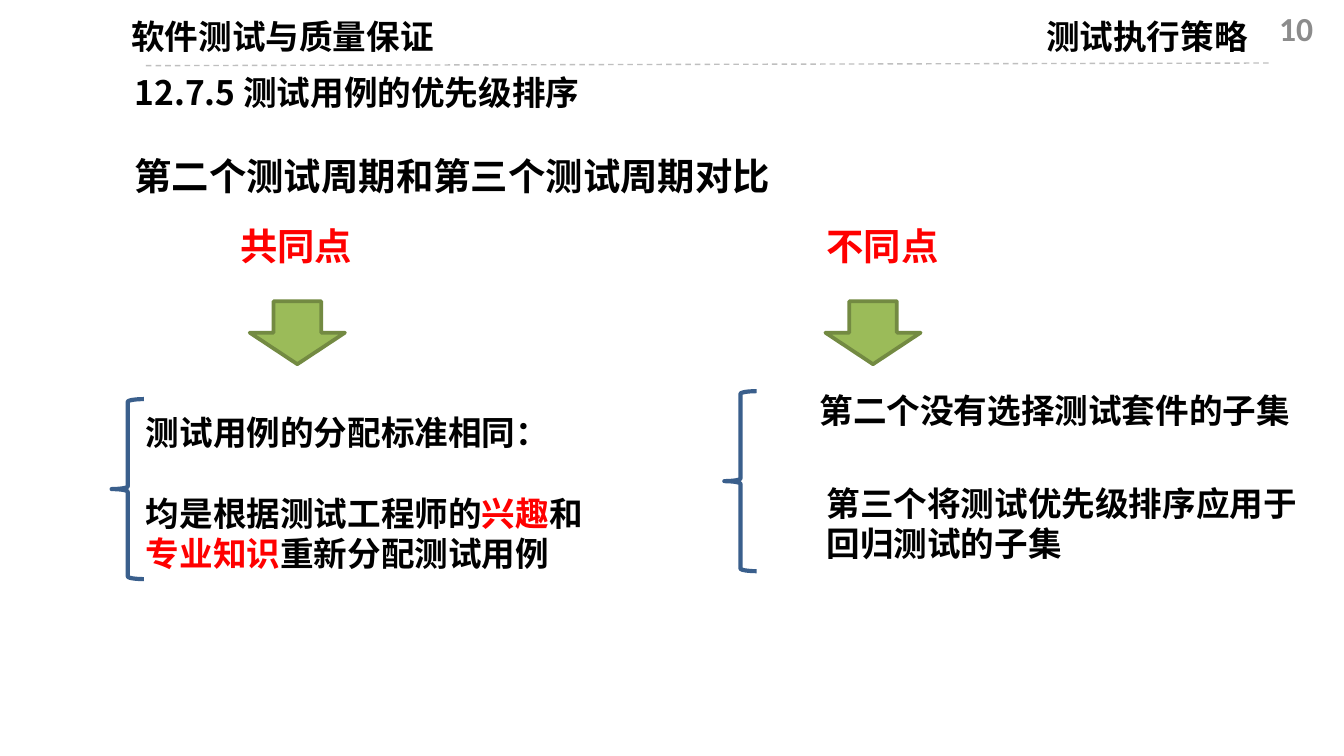
from dataclasses import dataclass

from lxml import etree
from pptx import Presentation
from pptx import util as u
from pptx.dml.color import RGBColor
from pptx.enum import dml, shapes, text
from pptx.oxml.ns import qn


@dataclass(frozen=True)
class Theme:
    ink: str = "000000"
    accent: str = "FF0000"
    muted: str = "8C8C8C"
    rule: str = "BFBFBF"
    arrow: str = "9BBB59"
    arrow_line: str = "738A42"
    brace: str = "3A5F8C"
    latin: str = "Calibri"
    chinese: str = "Noto Sans CJK SC"
    body: int = 18
    heading: int = 20


THEME = Theme()


def colour(value):
    return RGBColor.from_string(value)


def lengths(box):
    return [u.Cm(value) for value in box]


def write(shape, *paragraphs, size=THEME.body, color=THEME.ink, font=THEME.latin,
          align=text.PP_ALIGN.LEFT, anchor=text.MSO_ANCHOR.TOP, gap=0):
    """Fill a shape; a paragraph is a string or a list of (string, colour) runs."""
    frame = shape.text_frame
    frame.word_wrap = True
    frame.auto_size = text.MSO_AUTO_SIZE.NONE
    frame.vertical_anchor = anchor
    for index, content in enumerate(paragraphs):
        paragraph = frame.add_paragraph() if index else frame.paragraphs[0]
        paragraph.alignment = align
        paragraph.space_before = u.Pt(gap if index else 0)
        runs = [(content, color)] if isinstance(content, str) else content
        for words, run_color in runs:
            run = paragraph.add_run()
            run.text = words
            run.font.size = u.Pt(size)
            run.font.bold = True
            run.font.color.rgb = colour(run_color)
            run.font.name = font
            east_asian = etree.SubElement(run.font._element, qn("a:ea"))
            east_asian.set("typeface", THEME.chinese)


def add_text(slide, box, *paragraphs, **formats):
    write(slide.shapes.add_textbox(*lengths(box)), *paragraphs, **formats)


def add_preset(slide, preset, box, line, width, fill=None):
    shape = slide.shapes.add_shape(preset, *lengths(box))
    shape.shadow.inherit = False
    if fill:
        shape.fill.solid()
        shape.fill.fore_color.rgb = colour(fill)
    else:
        shape.fill.background()
    shape.line.color.rgb = colour(line)
    shape.line.width = u.Pt(width)


def add_header(slide, box):
    left, top, width, height = box
    add_text(slide, (left, top, 7.54, height), "软件测试与质量保证",
             font=THEME.chinese, align=text.PP_ALIGN.CENTER)
    add_text(slide, (left + 17.95, top, 9.6, height), "测试执行策略")
    add_text(slide, (left + width - 5.92, top - 0.03, 5.92, 0.76), "10",
             color=THEME.muted, align=text.PP_ALIGN.RIGHT,
             anchor=text.MSO_ANCHOR.MIDDLE)
    rule = slide.shapes.add_connector(
        shapes.MSO_CONNECTOR.STRAIGHT,
        *lengths((left + 1.19, top + 1.06, left + 22.47, top + 1.01)))
    rule.line.color.rgb = colour(THEME.rule)
    rule.line.width = u.Pt(0.75)
    rule.line.dash_style = dml.MSO_LINE.DASH
    etree.SubElement(rule._element.spPr, qn("a:effectLst"))


def add_titles(slide, box):
    left, top, width, height = box
    title = slide.shapes.title
    title.left, title.top, title.width, title.height = lengths(box)
    write(title, "12.7.5 测试用例的优先级排序", font=THEME.chinese)
    add_text(slide, (left, top + 1.52, 14.07, 1.12),
             "第二个测试周期和第三个测试周期对比", size=THEME.heading)


def add_column(slide, box, heading, heading_left, arrow_left, brace_top, notes):
    """Heading, arrow and braced notes; each note is (offset box, paragraphs)."""
    left, top, width, height = box
    add_text(slide, (left + heading_left, top, 5.31, 1.12), heading,
             size=THEME.heading, color=THEME.accent)
    add_preset(slide, shapes.MSO_SHAPE.DOWN_ARROW,
               (left + arrow_left, top + 1.6, 1.8, 1.19),
               THEME.arrow_line, 2, THEME.arrow)
    add_preset(slide, shapes.MSO_SHAPE.LEFT_BRACE,
               (left, top + brace_top, 0.61, 3.4), THEME.brace, 2.25)
    for (note_left, note_top, note_height), paragraphs in notes:
        add_text(slide, (left + note_left, top + note_top, width - note_left, note_height),
                 *paragraphs, gap=21.7)


def main():
    presentation = Presentation()
    presentation.slide_width, presentation.slide_height = lengths((25.4, 14.28))
    slide = presentation.slides.add_slide(presentation.slide_layouts[5])

    add_header(slide, (1.57, 0.18, 23.5, 1.02))
    add_titles(slide, (2.29, 1.24, 18.39, 1.02))

    ink, accent = THEME.ink, THEME.accent
    reasons = [("均是根据测试工程师的", ink), ("兴趣", accent), ("和", ink),
               ("专业知识", accent), ("重新分配测试用例", ink)]
    add_column(slide, (2.11, 4.09, 9.67, 6.9), "共同点", 2.18, 2.61, 3.45,
               [((0.4, 3.56, 3.33), ["测试用例的分配标准相同：", reasons])])
    add_column(slide, (13.69, 4.09, 11.51, 6.9), "不同点", 1.68, 1.91, 3.3,
               [((1.55, 3.15, 1.02), ["第二个没有选择测试套件的子集"]),
                ((1.68, 4.9, 1.8), ["第三个将测试优先级排序应用于回归测试的子集"])])
    presentation.save("out.pptx")


if __name__ == "__main__":
    main()
